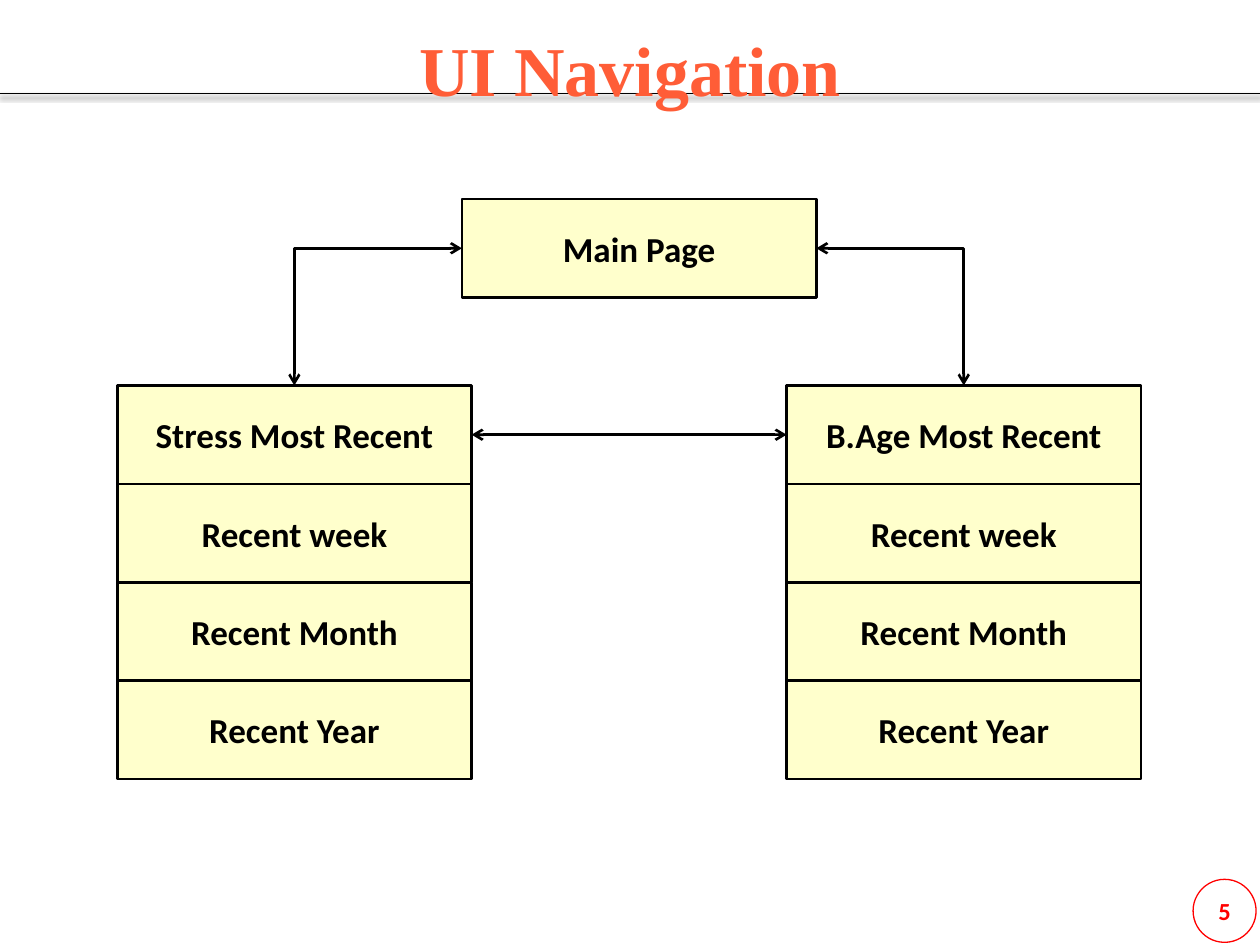
from lxml.etree import SubElement
from pptx import Presentation
from pptx.dml.color import RGBColor
from pptx.enum.shapes import MSO_CONNECTOR as LINK, MSO_SHAPE as SHAPE
from pptx.enum.text import MSO_ANCHOR as ANCHOR, MSO_AUTO_SIZE as AUTO_SIZE, PP_ALIGN as ALIGN
from pptx.oxml.ns import qn
from pptx.util import Pt

# Content
TITLE = "UI Navigation"
PAGE_NUMBER = "5"
MAIN_PAGE = "Main Page"
PERIODS = ["Recent week", "Recent Month", "Recent Year"]
STACKS = [
    (67, ["Stress Most Recent"] + PERIODS),
    (449.5, ["B.Age Most Recent"] + PERIODS),
]

# Layout, in points
SLIDE_W, SLIDE_H = 720, 540
BOX_W, BOX_H = 202.5, 56.2
MAIN_LEFT, MAIN_TOP = 264, 113.8
STACK_TOP = 220.3
RULE_Y = 53.3
BADGE_LEFT, BADGE_TOP, BADGE_SIZE = 681.8, 502.5, 36
TOP, LEFT, RIGHT = 0, 1, 3

BLACK = RGBColor(0x00, 0x00, 0x00)
RED = RGBColor(0xFF, 0x00, 0x00)
ORANGE = RGBColor(0xFF, 0x5D, 0x37)
CREAM = RGBColor(0xFF, 0xFF, 0xCC)


def set_text(frame, text, font_name, size, color):
    frame.text = text
    paragraph = frame.paragraphs[0]
    paragraph.alignment = ALIGN.CENTER
    font = paragraph.font
    font.name, font.size, font.bold = font_name, Pt(size), True
    font.color.rgb = color


def set_line(line, color, width):
    line.color.rgb = color
    line.width = Pt(width)


def add_box(slide, left, top, label):
    box = slide.shapes.add_shape(SHAPE.RECTANGLE, Pt(left), Pt(top), Pt(BOX_W), Pt(BOX_H))
    box.shadow.inherit = False
    box.fill.solid()
    box.fill.fore_color.rgb = CREAM
    set_line(box.line, BLACK, 1.5)
    box.text_frame.vertical_anchor = ANCHOR.MIDDLE
    set_text(box.text_frame, label, "Calibri", 20, BLACK)
    return box


def add_link(slide, kind, start, start_side, end, end_side):
    link = slide.shapes.add_connector(kind, 0, 0, 0, 0)
    link.begin_connect(start, start_side)
    link.end_connect(end, end_side)
    set_line(link.line, BLACK, 1.5)
    properties = link._element.spPr
    if kind == LINK.ELBOW:
        properties.find(qn("a:prstGeom")).set("prst", "bentConnector2")  # one corner
    outline = properties.find(qn("a:ln"))
    for tip in ("a:headEnd", "a:tailEnd"):
        SubElement(outline, qn(tip), type="arrow")
    SubElement(properties, qn("a:effectLst"))


def add_title_rule(slide):
    rule = slide.shapes.add_connector(LINK.STRAIGHT, 0, Pt(RULE_Y), Pt(SLIDE_W), Pt(RULE_Y))
    set_line(rule.line, BLACK, 0.5)
    effects = SubElement(rule._element.spPr, qn("a:effectLst"))
    shadow = SubElement(effects, qn("a:outerShdw"), blurRad=str(Pt(3)), dist=str(Pt(2)),
                        dir="5400000", rotWithShape="0")
    shade = SubElement(shadow, qn("a:srgbClr"), val=str(BLACK))
    SubElement(shade, qn("a:alpha"), val="50000")
    # The rule runs behind the title
    slide.shapes.title._element.addprevious(rule._element)


def add_page_badge(slide):
    badge = slide.shapes.add_shape(SHAPE.OVAL, Pt(BADGE_LEFT), Pt(BADGE_TOP),
                                   Pt(BADGE_SIZE), Pt(BADGE_SIZE))
    badge.shadow.inherit = False
    badge.fill.background()
    set_line(badge.line, RED, 0.75)
    frame = badge.text_frame
    frame.margin_left = frame.margin_right = frame.margin_top = frame.margin_bottom = 0
    frame.word_wrap = False
    frame.vertical_anchor = ANCHOR.MIDDLE
    set_text(frame, PAGE_NUMBER, "Calibri", 14, RED)


def main():
    deck = Presentation()
    deck.slide_width, deck.slide_height = Pt(SLIDE_W), Pt(SLIDE_H)
    slide = deck.slides.add_slide(deck.slide_layouts[5])

    # Title and its rule
    title = slide.shapes.title
    title.left, title.top, title.width, title.height = 0, Pt(3), Pt(SLIDE_W), Pt(60)
    frame = title.text_frame
    frame.margin_top = frame.margin_bottom = 0
    frame.auto_size = AUTO_SIZE.NONE
    frame.vertical_anchor = ANCHOR.BOTTOM
    set_text(frame, TITLE, "Times New Roman", 40, ORANGE)
    add_title_rule(slide)
    add_page_badge(slide)

    # Pages
    main_page = add_box(slide, MAIN_LEFT, MAIN_TOP, MAIN_PAGE)
    stress, age = [
        [add_box(slide, left, STACK_TOP + row * BOX_H, label) for row, label in enumerate(labels)]
        for left, labels in STACKS
    ]

    # Navigation between pages
    add_link(slide, LINK.ELBOW, main_page, LEFT, stress[0], TOP)
    add_link(slide, LINK.ELBOW, main_page, RIGHT, age[0], TOP)
    add_link(slide, LINK.STRAIGHT, stress[0], RIGHT, age[0], LEFT)

    deck.save("out.pptx")


if __name__ == "__main__":
    main()
